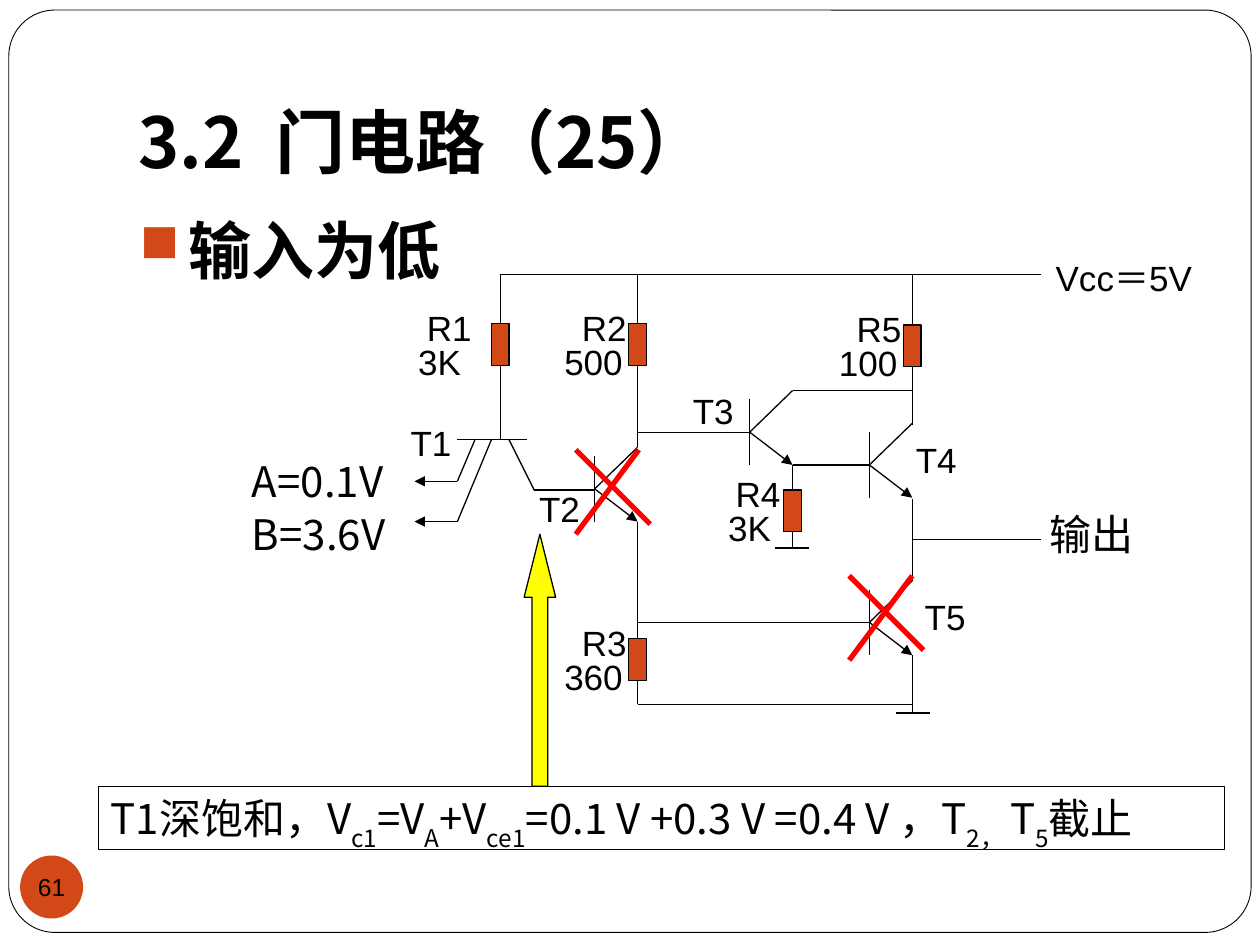
from lxml import etree
from pptx import Presentation
from pptx.dml.color import RGBColor
from pptx.enum.shapes import MSO_CONNECTOR, MSO_SHAPE
from pptx.enum.text import MSO_ANCHOR, PP_ALIGN
from pptx.oxml.ns import qn
from pptx.util import Inches, Pt

STRAIGHT = MSO_CONNECTOR.STRAIGHT
RECT, OVAL = MSO_SHAPE.RECTANGLE, MSO_SHAPE.OVAL
ROUND, UP_ARROW = MSO_SHAPE.ROUNDED_RECTANGLE, MSO_SHAPE.UP_ARROW
TOP, MIDDLE, BOTTOM = MSO_ANCHOR.TOP, MSO_ANCHOR.MIDDLE, MSO_ANCHOR.BOTTOM
LEFT, CENTER = PP_ALIGN.LEFT, PP_ALIGN.CENTER
ARIAL, CJK = "Arial", "Noto Sans CJK JP"
BLACK, WHITE, ORANGE, YELLOW, RED = "000000", "FFFFFF", "D34817", "FFFF00", "FF0000"

# x centre, top, end of upper lead, end of lower lead, name, name x, value, value x
RESISTORS = [
    (3.97, 2.57, 2.18, 3.49, "R1", 3.29, "3K", 3.22),
    (5.06, 2.57, 2.18, 3.55, "R2", 4.52, "500", 4.38),
    (5.06, 5.07, 4.14, 5.59, "R3", 4.52, "360", 4.38),
    (6.29, 3.89, 3.69, 4.35, "R4", 5.74, "3K", 5.68),
    (7.24, 2.58, 2.18, 3.37, "R5", 6.70, "100", 6.56),
]
# base x, base y, name, name x, name y
TRANSISTORS = [
    (4.72, 3.88, "T2", 4.18, 3.82),
    (5.95, 3.43, "T3", 5.40, 3.04),
    (6.90, 3.69, "T4", 7.17, 3.43),
    (6.90, 4.94, "T5", 7.24, 4.68),
]
WIRES = [
    (3.97, 2.18, 8.26, 2.18),  # supply rail
    (4.24, 3.89, 4.72, 3.89),  # T1 collector to T2 base
    (5.95, 3.43, 5.06, 3.43),  # T2 collector to T3 base
    (6.29, 3.10, 7.24, 3.10),  # T3 collector to R5
    (6.29, 3.69, 6.90, 3.69),  # T3 emitter to T4 base
    (6.90, 4.94, 5.06, 4.94),  # T2 emitter to T5 base
    (7.24, 3.96, 7.24, 4.61),  # T4 emitter to T5 collector
    (7.24, 4.28, 8.26, 4.28),  # output
    (7.24, 5.20, 7.24, 5.66),  # T5 emitter to ground
    (5.06, 5.59, 7.24, 5.59),  # R3 to ground
    (6.15, 4.35, 6.42, 4.35),  # ground under R4
    (7.11, 5.66, 7.38, 5.66),  # ground under T5
]
FORMULA = [
    ("T1深饱和，V", "c1"), ("=V", "A"), ("+V", "ce1"),
    ("=0.1 V +0.3 V =0.4 V ，T", "2， "), ("T", "5"), ("截止", ""),
]


def rgb(color):
    return RGBColor.from_string(color)


def add_run(p, text, size, font, bold=False, baseline=0):
    r = p.add_run()
    r.text = text
    for name, value in {"size": Pt(size), "name": font, "bold": bold}.items():
        setattr(r.font, name, value)
    r.font.color.rgb = rgb(BLACK)
    rPr = r.font._element
    if baseline:
        rPr.set("baseline", str(baseline))
    etree.SubElement(rPr, qn("a:ea")).set("typeface", CJK)


def set_frame(sp, anchor=TOP, insets=(0.1, 0.05, 0.1, 0.05), wrap=True):
    tf = sp.text_frame
    tf.vertical_anchor, tf.word_wrap = anchor, wrap
    for side, inset in zip(("left", "top", "right", "bottom"), insets):
        setattr(tf, f"margin_{side}", Inches(inset))
    p = tf.paragraphs[0]
    p.alignment = LEFT
    return p


def add_text(s, x, y, w, h, text, size=20, font=ARIAL, bold=False, **frame):
    box = s.shapes.add_textbox(Inches(x), Inches(y), Inches(w), Inches(h))
    p = set_frame(box, **frame)
    add_run(p, text, size, font, bold)
    return p


def add_label(s, x, y, text):
    add_text(s, x, y, 0.75, 0.43, text)


def add_box(s, kind, x, y, w, h, fill=None, line=BLACK, width=0.75, adj=()):
    sp = s.shapes.add_shape(kind, Inches(x), Inches(y), Inches(w), Inches(h))
    sp.shadow.inherit = False
    for i, value in enumerate(adj):
        sp.adjustments[i] = value
    if fill:
        sp.fill.solid()
        sp.fill.fore_color.rgb = rgb(fill)
    else:
        sp.fill.background()
    if line:
        sp.line.color.rgb = rgb(line)
        sp.line.width = Pt(width)
    else:
        sp.line.fill.background()
    return sp


def add_line(s, x1, y1, x2, y2, color=BLACK, width=0.75, arrow=False):
    c = s.shapes.add_connector(STRAIGHT, Inches(x1), Inches(y1), Inches(x2), Inches(y2))
    c.line.color.rgb = rgb(color)
    c.line.width = Pt(width)
    if arrow:
        ln = c.line._get_or_add_ln()
        etree.SubElement(ln, qn("a:tailEnd")).set("type", "triangle")
    etree.SubElement(c._element.spPr, qn("a:effectLst"))
    return c


def add_resistor(s, x, y, start, end, name, name_x, value, value_x):
    w, h = 0.14, 0.33
    body = add_box(s, RECT, x - w / 2, y, w, h, ORANGE)
    add_line(s, x, start, x, y).end_connect(body, 0)
    add_line(s, x, y + h, x, end).begin_connect(body, 2)
    add_label(s, name_x, y - 0.19, name)
    add_label(s, value_x, y + 0.08, value)


def add_transistor(s, x, y, name, name_x, name_y):
    add_line(s, x, y - 0.26, x, y + 0.26)
    add_line(s, x, y, x + 0.34, y + 0.26, arrow=True)
    add_line(s, x + 0.34, y - 0.33, x, y)
    add_label(s, name_x, name_y, name)


def add_input_transistor(s):
    """Draw T1, whose two emitters are the gate inputs."""
    add_line(s, 3.63, 3.49, 4.18, 3.49)
    for x, y in ((3.77, 3.82), (3.9, 4.14)):
        add_line(s, x, 3.49, 3.63, y)
        add_line(s, 3.63, y, 3.29, y, arrow=True)
    add_line(s, 4.04, 3.49, 4.24, 3.89)
    add_label(s, 3.16, 3.3, "T1")


def add_cross(s, x, y):
    """Mark a cut-off transistor."""
    add_line(s, x, y, x + 0.59, y + 0.59, RED, 3)
    add_line(s, x + 0.5, y, x, y + 0.67, RED, 3)


def add_bullet(p):
    pPr = p._p.get_or_add_pPr()
    pPr.set("marL", str(Inches(0.39)))
    pPr.set("indent", str(-Inches(0.39)))
    color = etree.SubElement(pPr, qn("a:buClr"))
    etree.SubElement(color, qn("a:srgbClr")).set("val", ORANGE)
    etree.SubElement(pPr, qn("a:buSzPct")).set("val", "85000")
    etree.SubElement(pPr, qn("a:buChar")).set("char", "■")


def add_heading(s):
    add_box(s, ROUND, 0.07, 0.08, 9.86, 7.32, WHITE, width=0.5, adj=[0.05])
    add_text(s, 1, 0.3, 8.5, 1.25, "3.2  门电路（25）", 40, CJK, True,
             anchor=BOTTOM, insets=(0.1, 0.05, 0.1, 0.1))
    add_bullet(add_text(s, 1.01, 1.63, 8.5, 5, "输入为低", 36, bold=True))
    badge = add_box(s, OVAL, 0.16, 6.79, 0.5, 0.5, ORANGE, line=None)
    p = set_frame(badge, MIDDLE, (0, 0, 0, 0), wrap=False)
    p.alignment = CENTER
    add_run(p, "61", 14, ARIAL)


def add_conclusion(s):
    add_box(s, UP_ARROW, 4.16, 4.24, 0.25, 2, YELLOW, adj=[0.5, 2])
    p = set_frame(add_box(s, RECT, 0.78, 6.24, 8.94, 0.5))
    for text, subscript in FORMULA:
        add_run(p, text, 24, CJK)
        if subscript:
            add_run(p, subscript, 24, CJK, baseline=-30000)


def main():
    prs = Presentation()
    prs.slide_width, prs.slide_height = Inches(10), Inches(7.5)
    s = prs.slides.add_slide(prs.slide_layouts[6])
    add_heading(s)
    for wire in WIRES:
        add_line(s, *wire)
    for resistor in RESISTORS:
        add_resistor(s, *resistor)
    add_input_transistor(s)
    for transistor in TRANSISTORS:
        add_transistor(s, *transistor)
    add_text(s, 8.28, 1.99, 1.36, 0.43, "Vcc＝5V")
    for y, text in ((3.57, "A=0.1V"), (3.99, "B=3.6V")):
        add_text(s, 2, y, 1.33, 0.5, text, 24, CJK, insets=(0, 0.05, 0, 0.05))
    add_text(s, 8.23, 3.99, 1.33, 0.5, "输出", 24, CJK)
    add_conclusion(s)
    add_cross(s, 4.57, 3.57)
    add_cross(s, 6.74, 4.57)
    prs.save("out.pptx")


if __name__ == "__main__":
    main()
